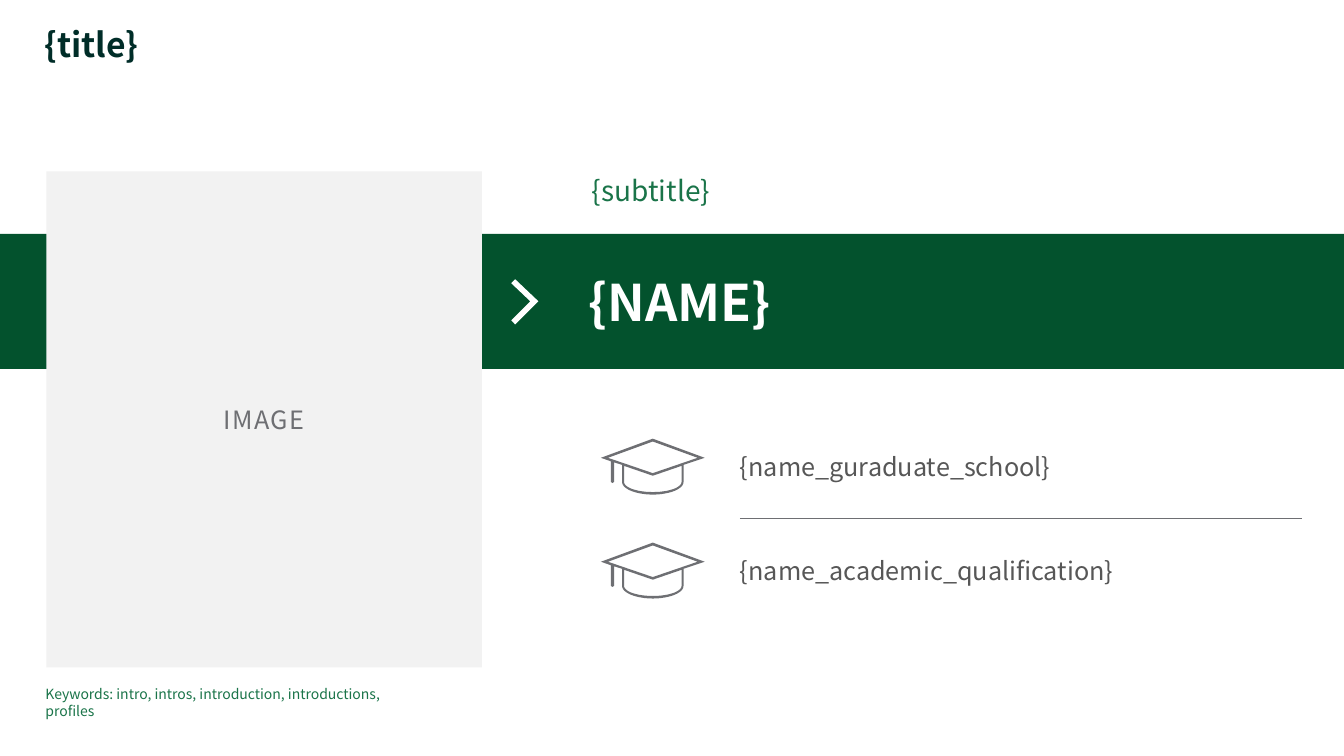
from math import cos, pi, sin

from pptx import Presentation
from pptx.dml.color import RGBColor
from pptx.enum.shapes import MSO_CONNECTOR, MSO_SHAPE
from pptx.enum.text import MSO_ANCHOR as ANCHOR, PP_ALIGN as ALIGN
from pptx.oxml.ns import qn
from pptx.util import Inches, Pt
from lxml.etree import SubElement

WIDTH, HEIGHT = Inches(13.33), Inches(7.5)
FONT = "Noto Sans CJK JP"

INK = RGBColor(0x00, 0x2D, 0x28)
FOREST = RGBColor(0x03, 0x52, 0x2D)
GREEN = RGBColor(0x1A, 0x74, 0x49)
TEXT_GRAY = RGBColor(0x57, 0x57, 0x57)
GRAY = RGBColor(0x6E, 0x6F, 0x73)
PALE = RGBColor(0xF2, 0xF2, 0xF2)
WHITE = RGBColor(0xFF, 0xFF, 0xFF)

# Shares of the slide, in percent
BAND_TOP, BAND_HEIGHT = 30.93, 17.87
PHOTO_LEFT, PHOTO_RIGHT = 3.45, 35.86
DETAIL_LEFT, DETAIL_WIDTH = 55.06, 41.79
DIVIDER_TOP, ROW_PITCH = 68.6, 13.75
LINE_HEIGHT = 4.0

# Outlines below are in thousandths of an inch
MIL = Inches(0.001)
CAP_WIDTH, CAP_HEIGHT = 1030, 555


def across(percent):
    return round(WIDTH * percent / 100)


def down(percent):
    return round(HEIGHT * percent / 100)


def bowl_arc(radius_x, radius_y, start, end, steps=24):
    """Points on the rounded underside of the cap between two angles."""
    angles = [start + (end - start) * i / steps for i in range(steps + 1)]
    return [(515 + radius_x * cos(a), 430 + radius_y * sin(a)) for a in angles]


CAP = [
    [(1030, 190), (515, 0), (0, 190), (100, 225), (100, 430), (115, 440),
     (130, 430), (130, 235), (210, 260), *bowl_arc(305, 125, pi, 0), (820, 260)],
    [(515, 28), (960, 190), (515, 342), (70, 190)],
    [*bowl_arc(285, 100, 0, pi), (230, 270), (515, 368), (800, 270)],
]
CHEVRON = [[(0, 10), (190, 190), (0, 380), (10, 390), (210, 190), (10, 0)]]


def write(shape, text, size, color, bold=False, anchor=ANCHOR.TOP,
          align=ALIGN.LEFT):
    frame = shape.text_frame
    frame.word_wrap = True
    frame.vertical_anchor = anchor
    frame.text = text
    line = frame.paragraphs[0]
    line.alignment = align
    line.font.name, line.font.size = FONT, Pt(size)
    line.font.bold, line.font.color.rgb = bold, color
    return line


def add_label(slide, left, top, width, height, *text, **style):
    box = slide.shapes.add_textbox(across(left), down(top), across(width), down(height))
    frame = box.text_frame
    frame.margin_left = frame.margin_right = 0
    frame.margin_top = frame.margin_bottom = 0
    return write(box, *text, **style)


def paint(shape, color):
    shape.shadow.inherit = False
    shape.fill.solid()
    shape.fill.fore_color.rgb = color
    shape.line.fill.background()


def add_block(slide, left, top, width, height, color):
    block = slide.shapes.add_shape(
        MSO_SHAPE.RECTANGLE, across(left), down(top), across(width), down(height))
    paint(block, color)
    return block


def add_outline(slide, contours, left, top, color):
    """Draw closed contours as one shape; inner contours become holes."""
    builder = slide.shapes.build_freeform(*contours[0][0], scale=MIL)
    for i, contour in enumerate(contours):
        if i:
            builder.move_to(*contour[0])
        builder.add_line_segments(contour[1:], close=True)
    outline = builder.convert_to_shape(left, top)
    paint(outline, color)
    return outline


def add_divider(slide, left, top, width):
    y = down(top)
    divider = slide.shapes.add_connector(
        MSO_CONNECTOR.STRAIGHT, across(left), y, across(left + width), y)
    divider.line.color.rgb, divider.line.width = GRAY, Pt(0.5)
    SubElement(divider._element.spPr, qn("a:effectLst"))


def add_chevron(slide):
    chevron = add_outline(slide, CHEVRON, across(38.26), down(37.33), WHITE)
    chevron.line.color.rgb, chevron.line.width = WHITE, Pt(3)
    SubElement(chevron.line._get_or_add_ln(), qn("a:miter"), lim="800000")


def add_credential(slide, text, middle):
    """A graduation cap and its text, both centred on one height."""
    add_outline(slide, CAP, across(44.71), down(middle) - CAP_HEIGHT * MIL // 2, GRAY)
    label = add_label(slide, DETAIL_LEFT, middle - LINE_HEIGHT / 2, DETAIL_WIDTH,
                      LINE_HEIGHT, text, 18, TEXT_GRAY, anchor=ANCHOR.MIDDLE)
    label.space_after = Pt(3)


def add_name_band(slide):
    band = add_block(slide, PHOTO_RIGHT, BAND_TOP, 100 - PHOTO_RIGHT, BAND_HEIGHT, FOREST)
    band.text_frame.margin_left = across(7.95)
    write(band, "{NAME}", 36, WHITE, bold=True, anchor=ANCHOR.MIDDLE)
    add_block(slide, 0, BAND_TOP, 4.88, BAND_HEIGHT, FOREST)


def add_photo_area(slide):
    photo = add_block(slide, PHOTO_LEFT, 22.67, PHOTO_RIGHT - PHOTO_LEFT, 65.6, PALE)
    caption = write(photo, "IMAGE", 18, GRAY, anchor=ANCHOR.MIDDLE, align=ALIGN.CENTER)
    caption.runs[0].font._element.set("spc", "100")


def main():
    deck = Presentation()
    deck.slide_width, deck.slide_height = WIDTH, HEIGHT
    slide = deck.slides.add_slide(deck.slide_layouts[6])

    title = add_label(slide, 3.3, 3.73, 82.75, 4.93, "{title}", 24, INK, bold=True)
    title.line_spacing = 0.9
    add_name_band(slide)
    add_label(slide, 44.04, 22.93, 44.64, 4.53, "{subtitle}", 20, GREEN)
    add_chevron(slide)
    add_divider(slide, DETAIL_LEFT, DIVIDER_TOP, DETAIL_WIDTH)
    for side, text in ((-1, "{name_guraduate_school}"),
                       (1, "{name_academic_qualification}")):
        add_credential(slide, text, DIVIDER_TOP + side * ROW_PITCH / 2)
    add_photo_area(slide)
    add_label(slide, 3.38, 90.67, 26.78, 2.27,
              "Keywords: intro, intros, introduction, introductions, profiles",
              10, GREEN)
    deck.save("out.pptx")


if __name__ == "__main__":
    main()
